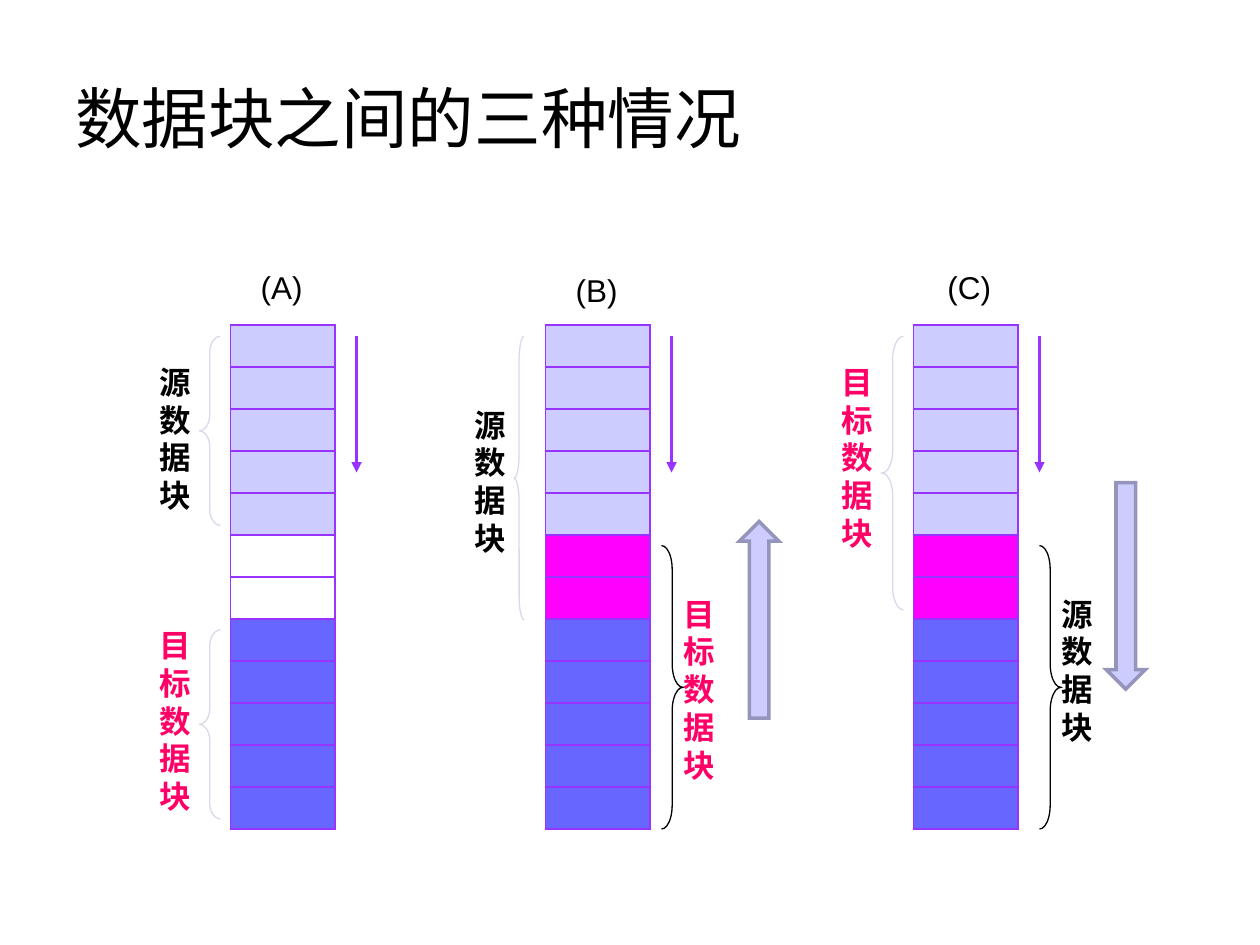
from dataclasses import dataclass

import lxml.etree
import pptx
import pptx.dml.color
import pptx.enum.shapes
import pptx.enum.text
import pptx.oxml.ns
import pptx.util

Inches = pptx.util.Inches
Pt = pptx.util.Pt
Shape = pptx.enum.shapes.MSO_SHAPE
AutoSize = pptx.enum.text.MSO_AUTO_SIZE
Anchor = pptx.enum.text.MSO_ANCHOR
qn = pptx.oxml.ns.qn

COLORS = {
    "text": "000000", "target": "FF0066", "first": "CCCCFF", "overlap": "FF00FF",
    "second": "6767FF", "border": "9933FF", "pale": "D9D8EC", "arrow_edge": "9595BC",
}
SOURCE = ["源", "数", "据", "块"]
TARGET = ["目标", "数", "据", "块"]
BODY = {"name": "Arial", "size": Pt(18)}
BOLD = {**BODY, "bold": True}
TITLE = {**BODY, "size": Pt(38)}
TOP = 2.58
CELL_W = 0.83
CELL_H = 1 / 3


@dataclass
class Label:
    lines: list[str]
    x: float
    y: float
    w: float = 0.42


@dataclass
class Brace:
    x: float
    y: float
    w: float
    h: float
    right: bool = False


@dataclass
class Case:
    name: str
    x: float
    name_x: float
    name_y: float
    middle: str | None
    labels: list[Label]
    braces: list[Brace]


CASES = [
    Case("(A)", 1.83, 1.97, 2.08, None,
         [Label(SOURCE, 1.17, 2.83), Label(TARGET, 1.17, 4.92)],
         [Brace(1.58, 2.67, 0.17, 1.5), Brace(1.58, 5, 0.17, 1.5)]),
    Case("(B)", 4.33, 4.47, 2.1, "overlap",
         [Label(SOURCE, 3.67, 3.17), Label(TARGET, 5.33, 4.67)],
         [Brace(4.08, 2.67, 0.08, 2.25), Brace(5.25, 4.33, 0.17, 2.25, True)]),
    Case("(C)", 7.25, 7.42, 2.08, "overlap",
         [Label(TARGET, 6.58, 2.83), Label(SOURCE, 8.33, 4.67, 0.5)],
         [Brace(7, 2.67, 0.17, 2.17), Brace(8.25, 4.33, 0.17, 2.25, True)]),
]


def rgb(key: str) -> pptx.dml.color.RGBColor:
    """Return the named colour."""
    return pptx.dml.color.RGBColor.from_string(COLORS[key])


def add_text(shapes, lines: list[str], box: tuple, font: dict, color: str = "text",
             fit=AutoSize.SHAPE_TO_FIT_TEXT, anchor=Anchor.TOP) -> None:
    """Add a text box with one paragraph per line."""
    tf = shapes.add_textbox(*map(Inches, box)).text_frame
    for attr, value in {"word_wrap": True, "auto_size": fit, "vertical_anchor": anchor}.items():
        setattr(tf, attr, value)
    for i, line in enumerate(lines):
        p = tf.add_paragraph() if i else tf.paragraphs[0]
        r = p.add_run()
        r.text = line
        r.font.color.rgb = rgb(color)
        for attr, value in font.items():
            setattr(r.font, attr, value)


def add_preset(shapes, kind, box: tuple, fill: str | None, line: str, width: float = 0.75):
    """Add a preset shape with a mitred outline and no shadow."""
    sp = shapes.add_shape(kind, *map(Inches, box))
    sp.shadow.inherit = False
    if fill:
        sp.fill.solid()
        sp.fill.fore_color.rgb = rgb(fill)
    else:
        sp.fill.background()
    sp.line.color.rgb = rgb(line)
    sp.line.width = Pt(width)
    lxml.etree.SubElement(sp._element.spPr.find(qn("a:ln")), qn("a:miter"), lim="800000")
    return sp


def add_brace(shapes, brace: Brace) -> None:
    """Add a curly brace whose curves are a twelfth of its height."""
    kind = Shape.RIGHT_BRACE if brace.right else Shape.LEFT_BRACE
    sp = add_preset(shapes, kind, (brace.x, brace.y, brace.w, brace.h), None,
                    "text" if brace.right else "pale")
    sp.adjustments[0] = brace.h / 12 / brace.w


def add_direction(shapes, x: float) -> None:
    """Add the downward arrow beside a column."""
    points = map(Inches, (x, 2.67, x, 3.75))
    line = shapes.add_connector(pptx.enum.shapes.MSO_CONNECTOR.STRAIGHT, *points)
    line.line.color.rgb = rgb("border")
    line.line.width = Pt(1.5)
    properties = line._element.spPr
    lxml.etree.SubElement(properties.find(qn("a:ln")), qn("a:tailEnd"), type="triangle")
    lxml.etree.SubElement(properties, qn("a:effectLst"))


def add_case(s, case: Case) -> None:
    """Draw one memory column with its braces and labels as a group."""
    shapes = s.shapes.add_group_shape().shapes
    for i, fill in enumerate(["first"] * 5 + [case.middle] * 2 + ["second"] * 5):
        box = (case.x, TOP + i * CELL_H, CELL_W, CELL_H)
        add_preset(shapes, Shape.RECTANGLE, box, fill, "border")
    for brace in case.braces:
        add_brace(shapes, brace)
    for label in case.labels:
        is_target = label.lines is TARGET
        box = (label.x, label.y, label.w, 1.6 if is_target else 1.3)
        add_text(shapes, label.lines, box, BOLD, "target" if is_target else "text")
    add_direction(shapes, case.x + 1)
    add_text(shapes, [case.name], (case.name_x, case.name_y, 0.65, 0.4), BODY)


def main() -> None:
    """Build and save the slide."""
    prs = pptx.Presentation()
    prs.slide_width, prs.slide_height = Inches(10), Inches(7.5)
    s = prs.slides.add_slide(prs.slide_layouts[6])
    add_text(s.shapes, ["数据块之间的三种情况"], (0.5, 0.3, 9, 1.25), TITLE,
             fit=AutoSize.NONE, anchor=Anchor.MIDDLE)
    for case in CASES:
        add_case(s, case)
    for kind, box in ((Shape.UP_ARROW, (5.87, 4.14, 0.31, 1.56)),
                      (Shape.DOWN_ARROW, (8.78, 3.83, 0.31, 1.64))):
        add_preset(s.shapes, kind, box, "first", "arrow_edge", 2)
    prs.save("out.pptx")


if __name__ == "__main__":
    main()
